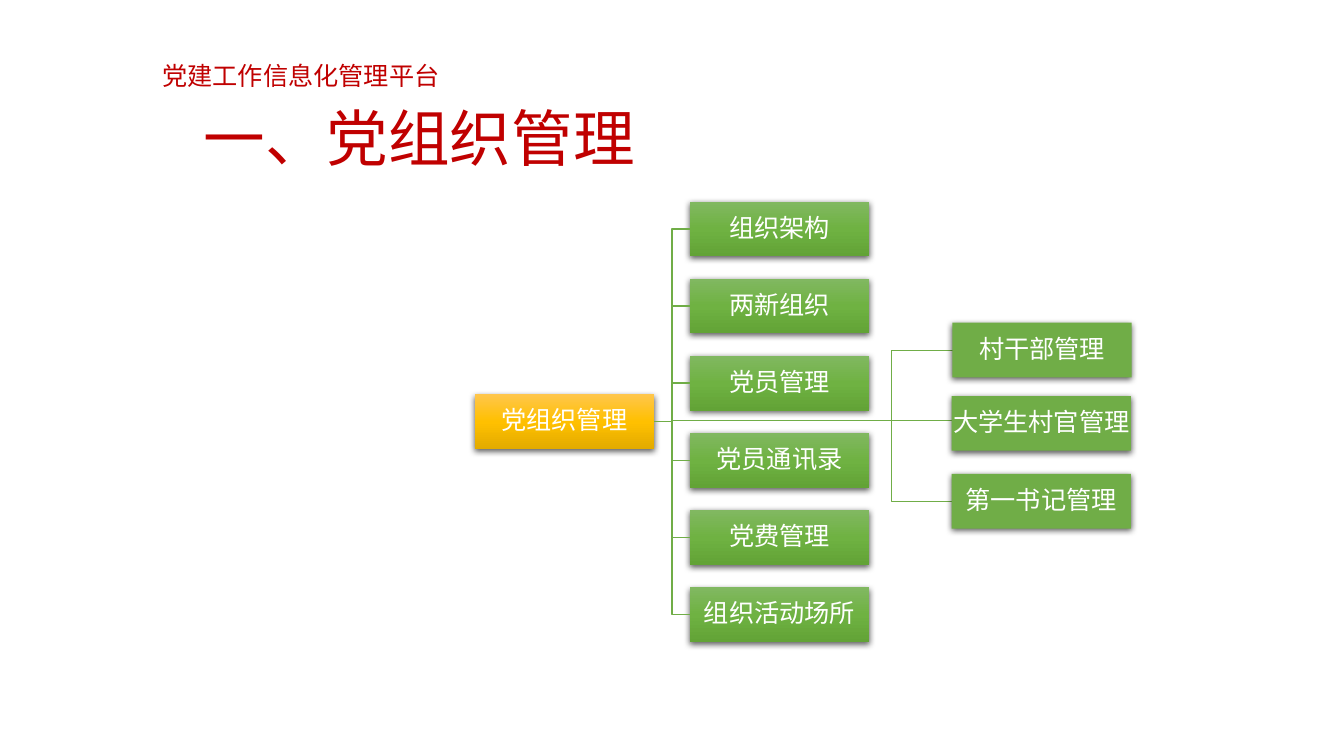
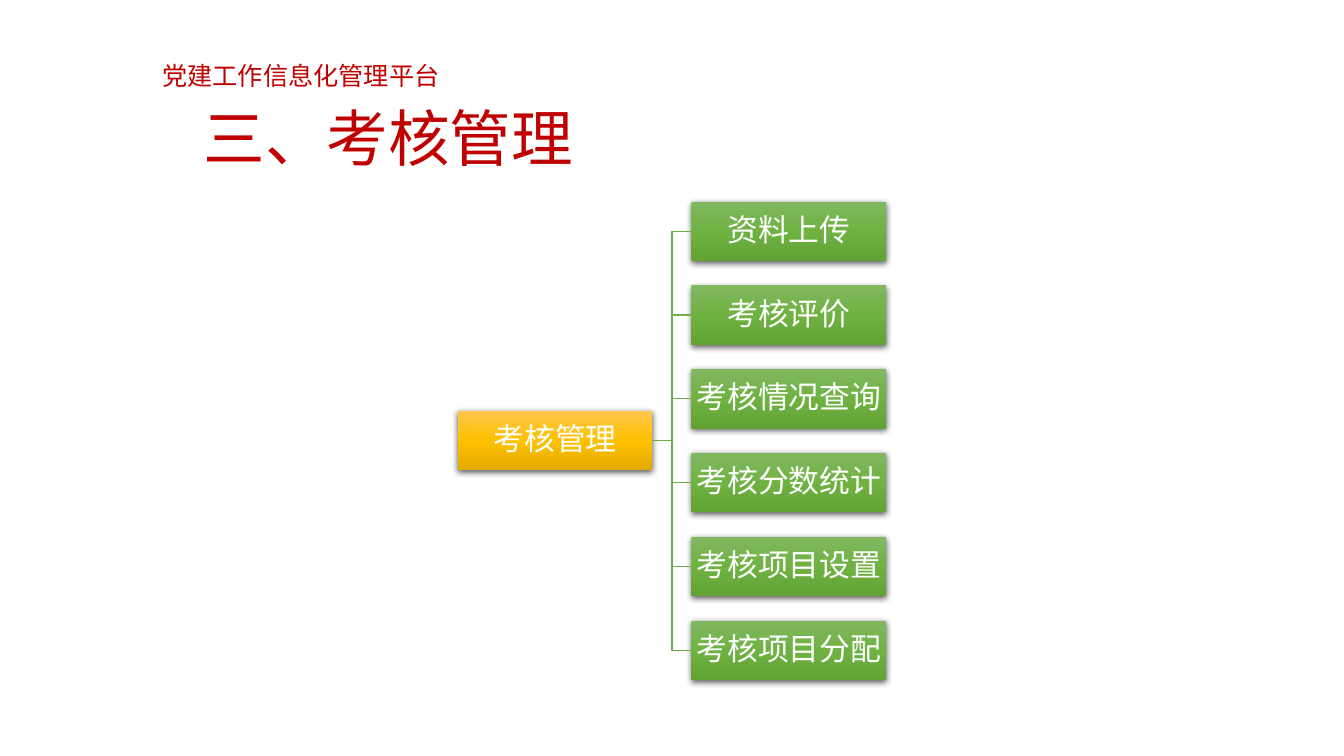
from dataclasses import dataclass

from lxml import etree
from pptx import Presentation
from pptx import util as u
from pptx.dml.color import RGBColor
from pptx.enum import shapes, text
from pptx.oxml.ns import qn

PLATFORM = "党建工作信息化管理平台"
SECTIONS = [
    {
        "title": "一、党组织管理",
        "root": "党组织管理",
        "branches": ["组织架构", "两新组织", "党员管理", "党员通讯录", "党费管理", "组织活动场所"],
        "officers": [("村干部管理", 24.0, 8.13), ("大学生村官管理", 23.98, 9.98), ("第一书记管理", 23.98, 11.94)],
        "box_width": 4.52,
        "size": 18,
        "inset": 0.02,
    },
    {
        "title": "三、考核管理",
        "root": "考核管理",
        "branches": ["资料上传", "考核评价", "考核情况查询", "考核分数统计", "考核项目设置", "考核项目分配"],
        "officers": [],
        "box_width": 4.91,
        "size": 22,
        "inset": 0.04,
    },
]


@dataclass(frozen=True)
class Theme:
    heading_font: str = "Noto Sans CJK SC"
    node_font: str = "Calibri"
    heading: str = "C00000"
    node_text: str = "FFFFFF"
    line: str = "70AD47"
    root: tuple = ("FFC64B", "FFC000", "E3AB00")
    branch: tuple = ("81B861", "6FB242", "62A336")
    officer: tuple = ("70AD47",)
    title_size: int = 44
    platform_size: int = 18


THEME = Theme()
SLIDE_WIDTH, SLIDE_HEIGHT = 33.87, 19.05
TRUNK_X = SLIDE_WIDTH / 2
TREE_TOP = 5.08
HEIGHT_RATIO, PITCH_RATIO, GAP_RATIO = 0.305, 0.43, 0.2
OFFICER_Y, OFFICER_TRUNK_X, OFFICER_END_X = 10.59, 22.46, 27.98


def add_child(parent, tag, **attributes):
    return etree.SubElement(parent, qn(tag), attributes)


def style_text(paragraph, font, size, color):
    for run in paragraph.runs:
        run.font.name = font
        run.font.size = u.Pt(size)
        run.font.color.rgb = RGBColor.from_string(color)
        if font == THEME.heading_font:
            add_child(run.font._element, "a:ea", typeface=font)


def add_heading(slide, words, place, size, wrap, indent=0.25):
    heading = slide.shapes.add_textbox(*map(u.Cm, place))
    frame = heading.text_frame
    frame.text = words
    frame.word_wrap = wrap
    frame.margin_left = u.Cm(indent)
    frame.vertical_anchor = text.MSO_ANCHOR.MIDDLE if wrap else text.MSO_ANCHOR.TOP
    if wrap:
        frame.paragraphs[0].line_spacing = 0.9
    style_text(frame.paragraphs[0], THEME.heading_font, size, THEME.heading)


def paint(node, colors):
    if len(colors) == 1:
        node.fill.solid()
        node.fill.fore_color.rgb = RGBColor.from_string(colors[0])
    else:
        node.fill.gradient()
        node.fill.gradient_angle = 270
        stops = node._element.spPr.find(".//" + qn("a:gsLst"))
        for stop in list(stops):
            stops.remove(stop)
        for index, color in enumerate(colors):
            position = 100000 * index // (len(colors) - 1)
            add_child(add_child(stops, "a:gs", pos=str(position)), "a:srgbClr", val=color)
    node.line.fill.background()
    node.shadow.inherit = False
    effects = node._element.spPr.find(qn("a:effectLst"))
    shadow = add_child(effects, "a:outerShdw", blurRad="57150", dist="19050",
                       dir="5400000", algn="ctr", rotWithShape="0")
    add_child(add_child(shadow, "a:srgbClr", val="000000"), "a:alpha", val="63000")


def add_node(slide, section, words, left, top, colors):
    width = section["box_width"]
    place = (left, top, width, width * HEIGHT_RATIO)
    node = slide.shapes.add_shape(shapes.MSO_SHAPE.RECTANGLE, *map(u.Cm, place))
    paint(node, colors)
    frame = node.text_frame
    frame.text = words
    frame.word_wrap = True
    frame.vertical_anchor = text.MSO_ANCHOR.MIDDLE
    inset = u.Cm(section["inset"])
    frame.margin_left = frame.margin_right = frame.margin_top = frame.margin_bottom = inset
    label = frame.paragraphs[0]
    label.alignment = text.PP_ALIGN.CENTER
    label.line_spacing = 0.9
    style_text(label, THEME.node_font, section["size"], THEME.node_text)
    return node


def add_link(slide, kind, ends, weight):
    link = slide.shapes.add_connector(kind, *map(u.Cm, ends))
    link.line.color.rgb = RGBColor.from_string(THEME.line)
    link.line.width = u.Pt(weight)
    add_child(link._element.spPr, "a:effectLst")
    return link


def add_officer_links(slide, section):
    half_height = section["box_width"] * HEIGHT_RATIO / 2
    first, middle, last = section["officers"]
    for _, _, top in (first, last):
        add_link(slide, shapes.MSO_CONNECTOR.ELBOW,
                 (TRUNK_X, OFFICER_Y, OFFICER_END_X, top + half_height), 0.5)
    add_link(slide, shapes.MSO_CONNECTOR.STRAIGHT,
             (OFFICER_TRUNK_X, OFFICER_Y, middle[1], OFFICER_Y), 0.5)


def add_tree(slide, section):
    width = section["box_width"]
    pitch = width * PITCH_RATIO
    half_gap = width * GAP_RATIO / 2
    half_height = width * HEIGHT_RATIO / 2
    root_left, branch_left = TRUNK_X - half_gap - width, TRUNK_X + half_gap
    root_top = TREE_TOP + pitch * (len(section["branches"]) - 1) / 2
    root_y = root_top + half_height

    if section["officers"]:
        add_officer_links(slide, section)
    root = add_node(slide, section, section["root"], root_left, root_top, THEME.root)
    for index, words in enumerate(section["branches"]):
        top = TREE_TOP + index * pitch
        branch = add_node(slide, section, words, branch_left, top, THEME.branch)
        link = add_link(slide, shapes.MSO_CONNECTOR.ELBOW,
                        (root_left + width, root_y, branch_left, top + half_height), 1)
        link.begin_connect(root, 3)
        link.end_connect(branch, 1)
    for words, left, top in section["officers"]:
        add_node(slide, section, words, left, top, THEME.officer)


deck = Presentation()
deck.slide_width, deck.slide_height = u.Cm(SLIDE_WIDTH), u.Cm(SLIDE_HEIGHT)
for section in SECTIONS:
    slide = deck.slides.add_slide(deck.slide_layouts[6])
    add_heading(slide, section["title"], (2.34, 2.44, 29.21, 2.26), THEME.title_size, True, 2.79)
    add_tree(slide, section)
    add_heading(slide, PLATFORM, (3.84, 1.4, 7.57, 1.02), THEME.platform_size, False)
deck.save("out.pptx")
